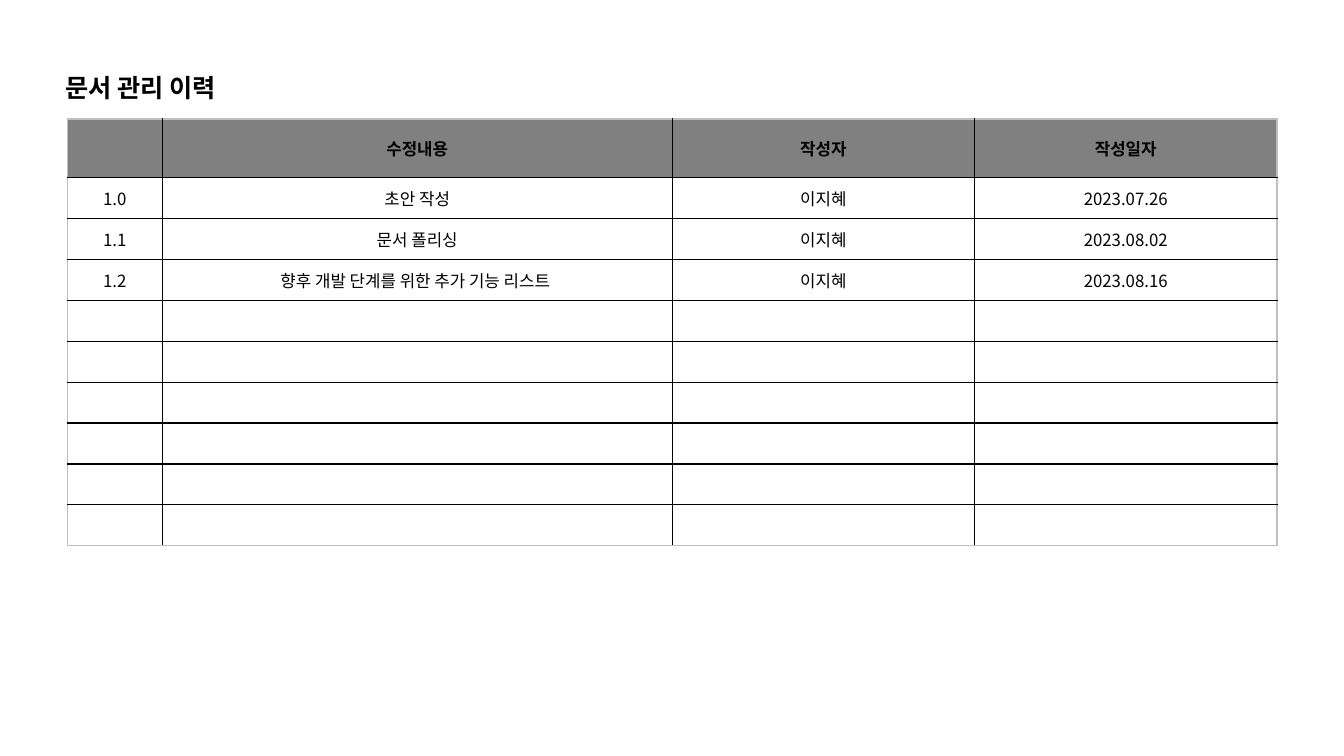
from dataclasses import dataclass

from lxml import etree
from pptx import Presentation
from pptx.dml.color import RGBColor
from pptx.enum.text import MSO_ANCHOR, PP_ALIGN
from pptx.oxml.ns import qn
from pptx.util import Cm, Pt

MIDDLE = MSO_ANCHOR.MIDDLE
CENTER = PP_ALIGN.CENTER


@dataclass(frozen=True)
class Theme:
    """Colours, font and type sizes of the slide."""
    font: str = "Noto Sans CJK KR"
    text: str = "000000"
    header: str = "808080"
    grid: str = "000000"
    frame: str = "BFBFBF"
    title_size: int = 18
    cell_size: int = 12
    line_width: int = 1


THEME = Theme()
TITLE = "문서 관리 이력"
HEADER = ["", "수정내용", "작성자", "작성일자"]
REVISIONS = [
    ["1.0", "초안 작성", "이지혜", "2023.07.26"],
    ["1.1", "문서 폴리싱", "이지혜", "2023.08.02"],
    ["1.2", "향후 개발 단계를 위한 추가 기능 리스트 ", "이지혜", "2023.08.16"],
]
EMPTY_ROWS = 6
COLUMN_WIDTHS = [2.39, 12.85, 7.62, 7.62]
HEADER_HEIGHT, ROW_HEIGHT = 1.48, 1.03


def add_run(p, text, size, bold=False):
    """Append one styled run, with the font set for Korean text too."""
    r = p.add_run()
    r.text = text
    r.font.size = Pt(size)
    r.font.bold = bold
    r.font.name = THEME.font
    r.font.color.rgb = RGBColor.from_string(THEME.text)
    etree.SubElement(r.font._element, qn("a:ea"), typeface=THEME.font)


def add_title(s, text):
    """Add the heading above the table."""
    tf = s.shapes.add_textbox(Cm(1.4), Cm(1.7), Cm(4.83), Cm(1.03)).text_frame
    tf.word_wrap = True
    add_run(tf.paragraphs[0], text, THEME.title_size, bold=True)


def set_borders(cell, colors):
    """Draw the cell borders; colors maps the sides L, R, T, B to RRGGBB."""
    tc_pr = cell._tc.get_or_add_tcPr()
    for i, (side, color) in enumerate(colors.items()):
        ln = etree.Element(qn(f"a:ln{side}"), w=str(Pt(THEME.line_width)))
        fill = etree.SubElement(ln, qn("a:solidFill"))
        etree.SubElement(fill, qn("a:srgbClr"), val=color)
        tc_pr.insert(i, ln)


def fill_cell(cell, text, is_header):
    """Set the fill and the centred text of one cell."""
    if is_header:
        cell.fill.solid()
        cell.fill.fore_color.rgb = RGBColor.from_string(THEME.header)
    else:
        cell.fill.background()
    cell.vertical_anchor = MIDDLE
    p = cell.text_frame.paragraphs[0]
    p.alignment = CENTER
    if text:
        add_run(p, text, THEME.cell_size, bold=is_header)
    else:
        etree.SubElement(p._p, qn("a:endParaRPr"), sz=str(THEME.cell_size * 100))


def add_history_table(s, rows):
    """Add the revision table with a grey frame and a black inner grid."""
    heights = [HEADER_HEIGHT] + [ROW_HEIGHT] * (len(rows) - 1)
    table = s.shapes.add_table(
        len(rows), len(COLUMN_WIDTHS), Cm(1.7), Cm(3),
        Cm(sum(COLUMN_WIDTHS)), Cm(sum(heights))).table
    table.first_row = table.horz_banding = False
    for column, width in zip(table.columns, COLUMN_WIDTHS):
        column.width = Cm(width)
    last_row, last_col = len(rows) - 1, len(COLUMN_WIDTHS) - 1
    for i, values in enumerate(rows):
        table.rows[i].height = Cm(heights[i])
        for j, text in enumerate(values):
            cell = table.cell(i, j)
            fill_cell(cell, text, is_header=i == 0)
            on_frame = {"L": j == 0, "R": j == last_col,
                        "T": i == 0, "B": i == last_row}
            set_borders(cell, {side: THEME.frame if outer else THEME.grid
                               for side, outer in on_frame.items()})


def main():
    """Build the document history slide."""
    prs = Presentation()
    prs.slide_width, prs.slide_height = Cm(33.87), Cm(19.05)
    s = prs.slides.add_slide(prs.slide_layouts[6])
    blanks = [[""] * len(HEADER)] * EMPTY_ROWS
    add_history_table(s, [HEADER] + REVISIONS + blanks)
    add_title(s, TITLE)
    prs.save("out.pptx")


main()
